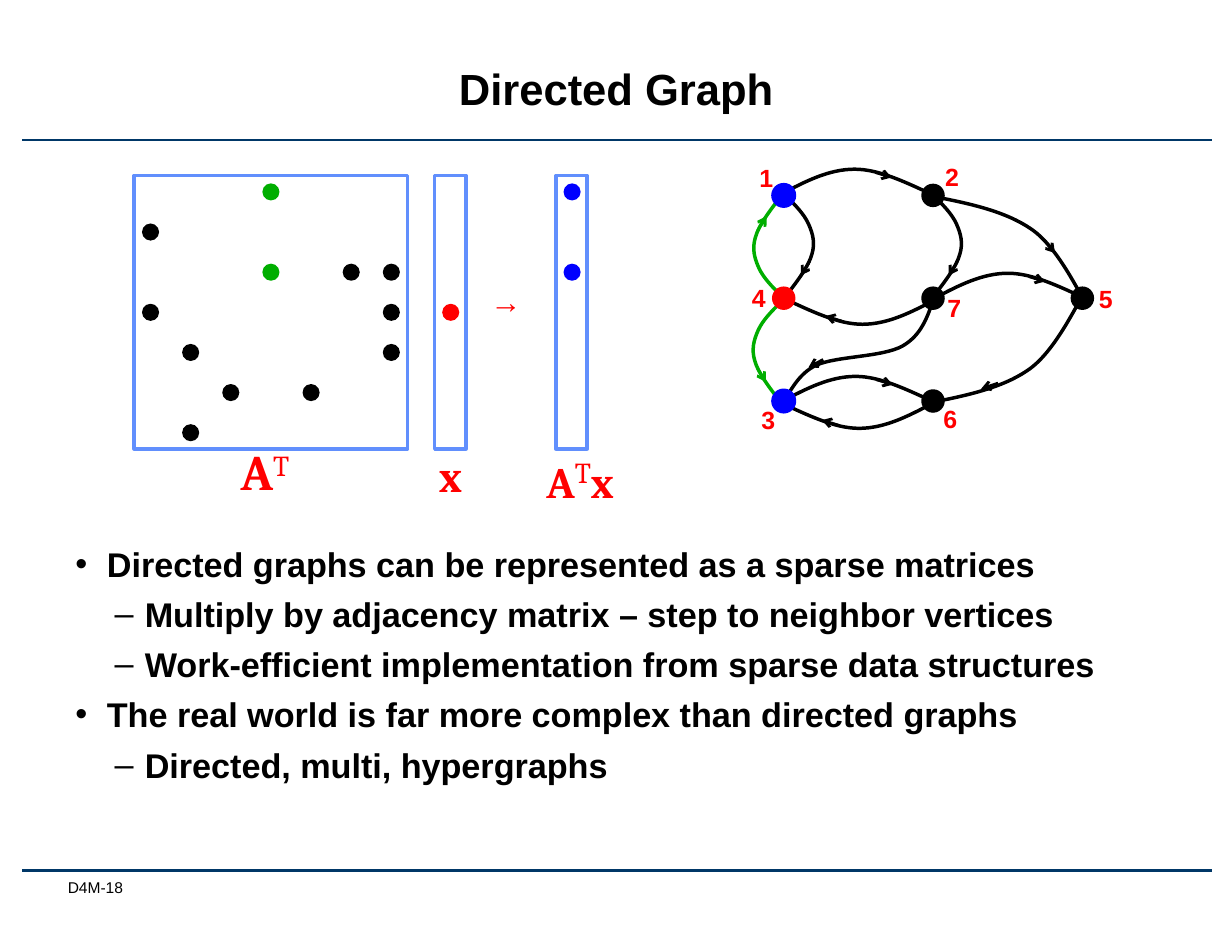
"""Build the Directed Graph slide with its adjacency matrix, graph and bullets."""
from dataclasses import dataclass
from typing import Optional

from lxml.etree import SubElement
from pptx import Presentation
from pptx.dml.color import RGBColor
from pptx.enum.shapes import MSO_CONNECTOR, MSO_SHAPE
from pptx.enum.text import MSO_ANCHOR, MSO_AUTO_SIZE, PP_ALIGN
from pptx.oxml.ns import qn
from pptx.util import Pt

Point = tuple[float, float]
Box = tuple[float, float, float, float]


@dataclass(frozen=True)
class Theme:
    black: str = "000000"
    red: str = "FF0000"
    blue: str = "0000FF"
    green: str = "00AE00"
    rule: str = "003767"
    frame: str = "618FFD"
    sans: str = "Arial"
    serif: str = "Cambria"
    title: float = 28
    body: float = 22
    symbol: float = 28
    large_symbol: float = 32
    arrow: float = 20
    vertex: float = 16
    footer: float = 10


theme = Theme()


@dataclass(frozen=True)
class Piece:
    text: str
    size: float
    font: str
    color: str
    bold: bool = True
    raised: bool = False


@dataclass(frozen=True)
class Curve:
    points: tuple[Point, ...]
    arrow: tuple[Point, Point]


@dataclass(frozen=True)
class Edge:
    curve: Curve
    start: Point
    flip: tuple[int, int] = (1, 1)
    color: str = theme.black


@dataclass(frozen=True)
class Vertex:
    name: str
    column: int
    row: int
    label: Point
    color: str = theme.black
    outlined: bool = False


@dataclass(frozen=True)
class Bullet:
    text: str
    level: int = 0


presentation = Presentation()
presentation.slide_width, presentation.slide_height = Pt(792), Pt(612)
slide = presentation.slides.add_slide(presentation.slide_layouts[6])


def rgb(color: str) -> RGBColor:
    return RGBColor.from_string(color)


def add_text(box: Box, pieces: list[Piece], align: Optional[PP_ALIGN] = None, wrap: bool = False):
    shape = slide.shapes.add_textbox(*map(Pt, box))
    frame = shape.text_frame
    frame.word_wrap = wrap
    frame.auto_size = MSO_AUTO_SIZE.NONE if wrap else MSO_AUTO_SIZE.SHAPE_TO_FIT_TEXT
    paragraph = frame.paragraphs[0]
    paragraph.alignment = align
    for piece in pieces:
        run = paragraph.add_run()
        run.text = piece.text
        run.font.size, run.font.name, run.font.bold = Pt(piece.size), piece.font, piece.bold
        run.font.color.rgb = rgb(piece.color)
        if piece.raised:
            run.font._element.set("baseline", "30000")
    return frame


def add_line(start: Point, end: Point, color: str, arrow: bool = False) -> None:
    connector = slide.shapes.add_connector(MSO_CONNECTOR.STRAIGHT, *map(Pt, start + end))
    connector.line.color.rgb = rgb(color)
    connector.line.width = Pt(1.75)
    if arrow:
        SubElement(connector.line._get_or_add_ln(), qn("a:tailEnd"), type="arrow")
    SubElement(connector._element.spPr, qn("a:effectLst"))


def add_frame(left: float, width: float) -> None:
    shape = slide.shapes.add_shape(MSO_SHAPE.RECTANGLE, *map(Pt, (left, 112.9, width, 175.7)))
    shape.shadow.inherit = False
    shape.fill.background()
    shape.line.color.rgb = rgb(theme.frame)
    shape.line.width = Pt(2.25)


def add_dot(center: Point, diameter: float, color: str, outlined: bool = False) -> None:
    corner = [value - diameter / 2 for value in center]
    shape = slide.shapes.add_shape(MSO_SHAPE.OVAL, *map(Pt, (*corner, diameter, diameter)))
    shape.shadow.inherit = False
    shape.fill.solid()
    shape.fill.fore_color.rgb = rgb(color)
    if outlined:
        shape.line.color.rgb = rgb(color)
        shape.line.width = Pt(1)
    else:
        shape.line.fill.background()


def add_edge(edge: Edge) -> None:
    def place(point: Point) -> Point:
        return tuple(s + f * p for s, f, p in zip(edge.start, edge.flip, point))

    first, *others = [tuple(map(Pt, place(point))) for point in edge.curve.points]
    builder = slide.shapes.build_freeform(*first)
    builder.add_line_segments(others, close=False)
    shape = builder.convert_to_shape()
    segments = list(shape._element.iter(qn("a:lnTo")))
    outline = segments[0].getparent()
    for index in range(0, len(segments), 3):
        cubic = SubElement(outline, qn("a:cubicBezTo"))
        for segment in segments[index:index + 3]:
            cubic.append(segment[0])
            outline.remove(segment)
    shape.shadow.inherit = False
    shape.fill.background()
    shape.line.color.rgb = rgb(edge.color)
    shape.line.width = Pt(2.25)
    tail, head = map(place, edge.curve.arrow)
    add_line(tail, head, edge.color, True)


def add_bullets(box: Box, bullets: list[Bullet]) -> None:
    frame = add_text(box, [], wrap=True)
    for index, bullet in enumerate(bullets):
        paragraph = frame.add_paragraph() if index else frame.paragraphs[0]
        paragraph.text, paragraph.level = bullet.text, bullet.level
        paragraph.line_spacing = Pt(22.3)
        paragraph.space_before, paragraph.space_after = Pt(3.3), Pt(6.7)
        font = paragraph.runs[0].font
        font.size, font.name, font.bold = Pt(theme.body), theme.sans, True
        font.color.rgb = rgb(theme.black)
        margin, indent, mark = ((20.2, -20.2, "•"), (44.6, -19.4, "–"))[bullet.level]
        properties = paragraph._p.get_or_add_pPr()
        properties.set("marL", str(Pt(margin)))
        properties.set("indent", str(Pt(indent)))
        SubElement(properties, qn("a:buFont"), typeface=theme.sans)
        SubElement(properties, qn("a:buChar"), char=mark)


for rule_top in (90, 559.8):
    add_line((14.4, rule_top), (779, rule_top), theme.rule)
footer = add_text((39.3, 564.5, 94.3, 19.4),
                  [Piece("D4M-18", theme.footer, theme.sans, theme.black, False)], wrap=True)
footer.margin_left, footer.margin_top, footer.margin_right, footer.margin_bottom = Pt(4.3), 0, 0, 0
title = add_text((81.4, 22.3, 629.3, 72.7),
                 [Piece("Directed Graph", theme.title, theme.sans, theme.black)],
                 PP_ALIGN.CENTER, True)
title.vertical_anchor = MSO_ANCHOR.MIDDLE
title.paragraphs[0].line_spacing = Pt(30)
add_bullets((41.4, 349.6, 709.2, 197.3), [
    Bullet("Directed graphs can be represented as a sparse matrices"),
    Bullet("Multiply by adjacency matrix – step to neighbor vertices", 1),
    Bullet("Work-efficient implementation from sparse data structures", 1),
    Bullet("The real world is far more complex than directed graphs"),
    Bullet("Directed, multi, hypergraphs", 1)])

MATRIX, VECTOR, PRODUCT = 96.8, 289.8, 367.8
for frame_left, frame_width in ((86.2, 175.9), (279.4, 20.2), (357.3, 20.2)):
    add_frame(frame_left, frame_width)
entries = {
    (MATRIX, theme.black): [(1, 0), (2, 5), (2, 6), (3, 0), (3, 6), (4, 1), (4, 6), (5, 2), (5, 4), (6, 1)],
    (MATRIX, theme.green): [(0, 3), (2, 3)],
    (VECTOR, theme.red): [(3, 0)],
    (PRODUCT, theme.blue): [(0, 0), (2, 0)]}
for (origin, entry_color), cells in entries.items():
    for row, column in cells:
        add_dot((origin + 25.8 * column, 123.4 + 25.8 * row), 11, entry_color)

symbol = (theme.symbol, theme.serif, theme.red)
large_symbol = (theme.large_symbol, theme.serif, theme.red)
transpose = Piece("T", *large_symbol, bold=False, raised=True)
add_text((142.6, 280.1, 50.4, 45.4), [Piece("A", *large_symbol), transpose], PP_ALIGN.RIGHT)
add_text((275.2, 285.1, 28.8, 41), [Piece("x", *symbol)])
add_text((344.2, 285.1, 61.2, 41), [Piece("A", *symbol), transpose, Piece("x", *symbol)])
add_text((308.2, 178.2, 38.2, 36), [Piece("→", theme.arrow, theme.sans, theme.red, False)])

arch = Curve(((0, 0), (15.1, -7.9), (30.2, -15.8), (46.8, -15.8), (62.6, -15.8), (79.9, -7.2), (97.2, 0.7)),
             ((60.2, -13.7), (70.6, -10.5)))
bow = Curve(((0, 0), (5.8, 5.8), (11.5, 11.5), (14.4, 18), (17.3, 24.5), (18.7, 30.2), (16.6, 37.4),
             (14.4, 45.4), (7.2, 54.7), (0, 64.1)), ((15.2, 41.8), (9.4, 51.1)))
sweep = ((0, 0), (22.3, 4.3), (44.6, 9.4), (60.5, 20.2), (77, 31), (90, 58.3), (95, 66.2))
outward = Curve(sweep, ((69.1, 27.4), (76.3, 36)))
inward = Curve(sweep, ((41.8, 12.2), (31, 8.6)))
winding = Curve(((0, 0), (3.6, -3.6), (8.6, -16.6), (20.9, -22.3), (33.8, -28.1), (63.4, -27.4),
                 (76.3, -34.6), (88.6, -41.8), (92.2, -53.3), (96.5, -65.5)), ((25.2, -25.9), (15.8, -20.9)))
for graph_edge in (
        Edge(arch, (502.6, 124.6)), Edge(arch, (601.2, 191.5)), Edge(arch, (503.3, 257.8)),
        Edge(arch, (599, 259.6), (-1, -1)), Edge(arch, (601.2, 192.7), (-1, -1)),
        Edge(bow, (505.4, 126)), Edge(bow, (600.5, 126)),
        Edge(bow, (502.2, 190.1), (-1, -1), theme.green), Edge(bow, (501.8, 194.4), (-1, 1), theme.green),
        Edge(outward, (601.9, 126.7)), Edge(inward, (599.8, 258.5), (1, -1)), Edge(winding, (504, 257))):
    add_edge(graph_edge)

for vertex in (
        Vertex("1", 0, 0, (481, 100.8), theme.blue, True), Vertex("2", 1, 0, (600.5, 100.1)),
        Vertex("3", 0, 2, (482.4, 256.6), theme.blue, True), Vertex("4", 0, 1, (476.2, 178.2), theme.red),
        Vertex("5", 2, 1, (699.4, 178.6)), Vertex("6", 1, 2, (599.4, 256)), Vertex("7", 1, 1, (601.9, 184.6))):
    add_dot((503.8 + 96 * vertex.column, 125.6 + 66.1 * vertex.row), 15.1, vertex.color, vertex.outlined)
    add_text((*vertex.label, 23, 26.6), [Piece(vertex.name, theme.vertex, theme.sans, theme.red)])

presentation.save("out.pptx")
